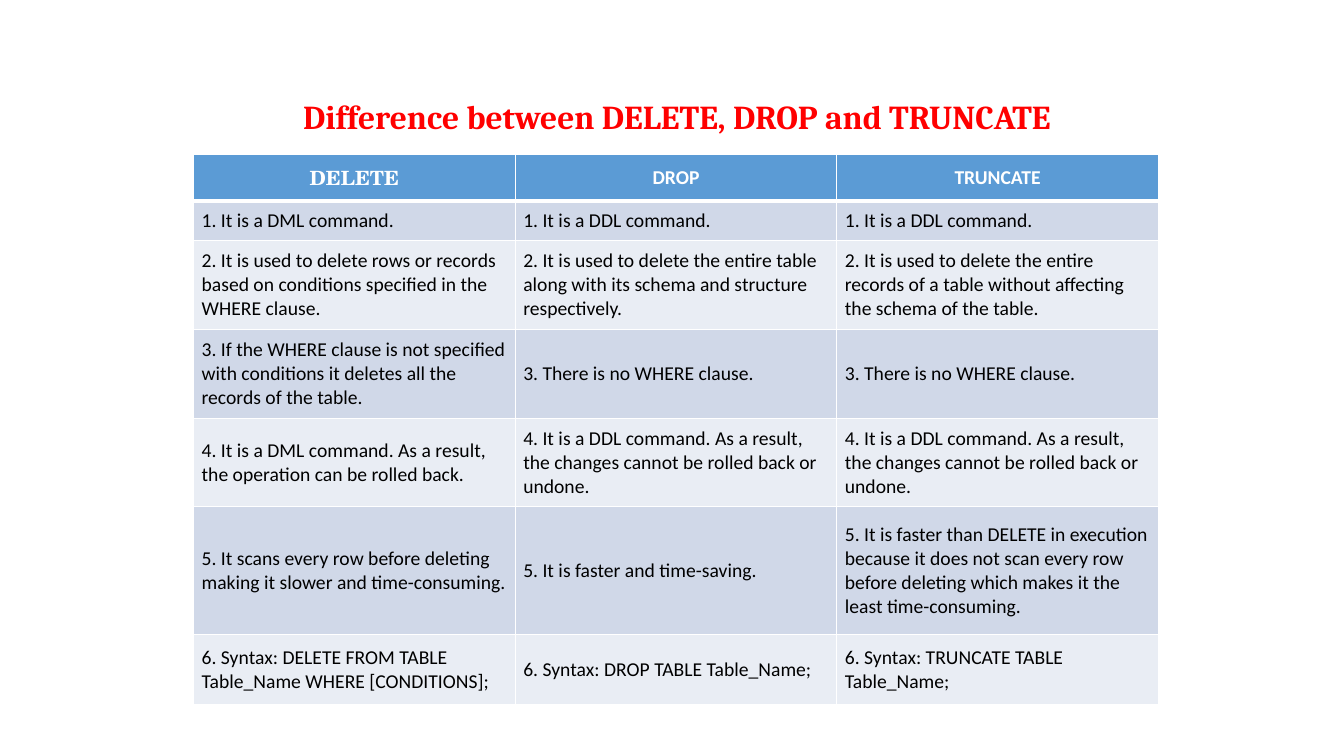
from dataclasses import dataclass

from lxml import etree
from pptx import Presentation
from pptx.dml.color import RGBColor
from pptx.enum.text import MSO_ANCHOR, PP_ALIGN
from pptx.oxml.ns import qn
from pptx.util import Emu, Pt

CENTER, LEFT = PP_ALIGN.CENTER, PP_ALIGN.LEFT
MIDDLE, BOTTOM = MSO_ANCHOR.MIDDLE, MSO_ANCHOR.BOTTOM
TITLE_ONLY = 5
EMU_PER_PX = 9144  # 100 px to the inch

COLORS = {
    "title": "FF0000",
    "header": "5B9BD5",
    "header_text": "FFFFFF",
    "body_text": "000000",
    "odd_row": "D0D8E8",
    "even_row": "E9EDF4",
    "border": "FFFFFF",
}


@dataclass(frozen=True)
class TextStyle:
    font: str
    size: float
    color: str
    bold: bool
    align: int


@dataclass(frozen=True)
class Row:
    height: int
    texts: tuple[str, str, str]


TITLE = TextStyle("Cambria", 23.9, "title", True, CENTER)
FIRST_HEADER = TextStyle("TeX Gyre Schola", 14, "header_text", True, CENTER)
HEADER = TextStyle("Calibri", 14, "header_text", True, CENTER)
BODY = TextStyle("Calibri", 14, "body_text", False, LEFT)

COLUMN_WIDTH = 319
CELL_MARGIN = 8
ROWS = [
    Row(39, ("DELETE", "DROP", "TRUNCATE")),
    Row(39, ("1. It is a DML command.",
             "1. It is a DDL command.",
             "1. It is a DDL command.")),
    Row(88, ("2. It is used to delete rows or records based on conditions "
             "specified in the WHERE clause.",
             "2. It is used to delete the entire table along with its schema "
             "and structure respectively.",
             "2. It is used to delete the entire records of a table without "
             "affecting the schema of the table.")),
    Row(88, ("3. If the WHERE clause is not specified with conditions it "
             "deletes all the records of the table.",
             "3. There is no WHERE clause.",
             "3. There is no WHERE clause.")),
    Row(88, ("4. It is a DML command. As a result, the operation can be "
             "rolled back.",
             "4. It is a DDL command. As a result, the changes cannot be "
             "rolled back or undone.",
             "4. It is a DDL command. As a result, the changes cannot be "
             "rolled back or undone.")),
    Row(127, ("5. It scans every row before deleting making it slower and "
              "time-consuming.",
              "5. It is faster and time-saving.",
              "5. It is faster than DELETE in execution because it does not "
              "scan every row before deleting which makes it the least "
              "time-consuming.")),
    Row(69, ("6. Syntax: DELETE FROM TABLE Table_Name WHERE [CONDITIONS];",
             "6. Syntax: DROP TABLE Table_Name;",
             "6. Syntax: TRUNCATE TABLE Table_Name;")),
]


def px(length: int) -> Emu:
    return Emu(length * EMU_PER_PX)


def rgb(name: str) -> RGBColor:
    return RGBColor.from_string(COLORS[name])


def write(text_frame, text: str, style: TextStyle) -> None:
    paragraph = text_frame.paragraphs[0]
    paragraph.alignment = style.align
    run = paragraph.add_run()
    run.text = text
    run.font.name = style.font
    run.font.size = Pt(style.size)
    run.font.bold = style.bold
    run.font.color.rgb = rgb(style.color)


def add_border(cell, side: str, points: int) -> None:
    properties = cell._tc.get_or_add_tcPr()
    line = etree.SubElement(properties, qn(f"a:ln{side}"), w=str(Pt(points)))
    fill = etree.SubElement(line, qn("a:solidFill"))
    etree.SubElement(fill, qn("a:srgbClr"), val=COLORS["border"])


def format_cell(cell, row_index: int) -> None:
    cell.vertical_anchor = MIDDLE
    cell.margin_left = cell.margin_right = px(CELL_MARGIN)
    cell.margin_top = cell.margin_bottom = px(CELL_MARGIN)
    # The rule under the header is thicker than the others
    widths = {"L": 1, "R": 1,
              "T": 3 if row_index == 1 else 1,
              "B": 3 if row_index == 0 else 1}
    for side, points in widths.items():
        add_border(cell, side, points)
    band = "odd_row" if row_index % 2 else "even_row"
    cell.fill.solid()
    cell.fill.fore_color.rgb = rgb("header" if row_index == 0 else band)


def add_title(slide) -> None:
    heading = slide.shapes.title
    heading.left, heading.top = px(238), px(60)
    heading.width, heading.height = px(867), px(75)
    frame = heading.text_frame
    frame.word_wrap = True
    frame.vertical_anchor = BOTTOM
    frame.margin_bottom = 0
    write(frame, "Difference between DELETE, DROP and TRUNCATE", TITLE)


def add_comparison(slide) -> None:
    column_count = len(ROWS[0].texts)
    comparison = slide.shapes.add_table(
        len(ROWS), column_count, px(192), px(153),
        px(COLUMN_WIDTH * column_count),
        px(sum(row.height for row in ROWS))).table
    for column in comparison.columns:
        column.width = px(COLUMN_WIDTH)
    for row_index, row in enumerate(ROWS):
        comparison.rows[row_index].height = px(row.height)
        for column_index, text in enumerate(row.texts):
            cell = comparison.cell(row_index, column_index)
            format_cell(cell, row_index)
            header = HEADER if column_index else FIRST_HEADER
            write(cell.text_frame, text, BODY if row_index else header)


def main() -> None:
    deck = Presentation()
    deck.slide_width, deck.slide_height = px(1333), px(750)
    slide = deck.slides.add_slide(deck.slide_layouts[TITLE_ONLY])

    # Heading
    add_title(slide)

    # Command comparison
    add_comparison(slide)

    deck.save("out.pptx")


if __name__ == "__main__":
    main()
